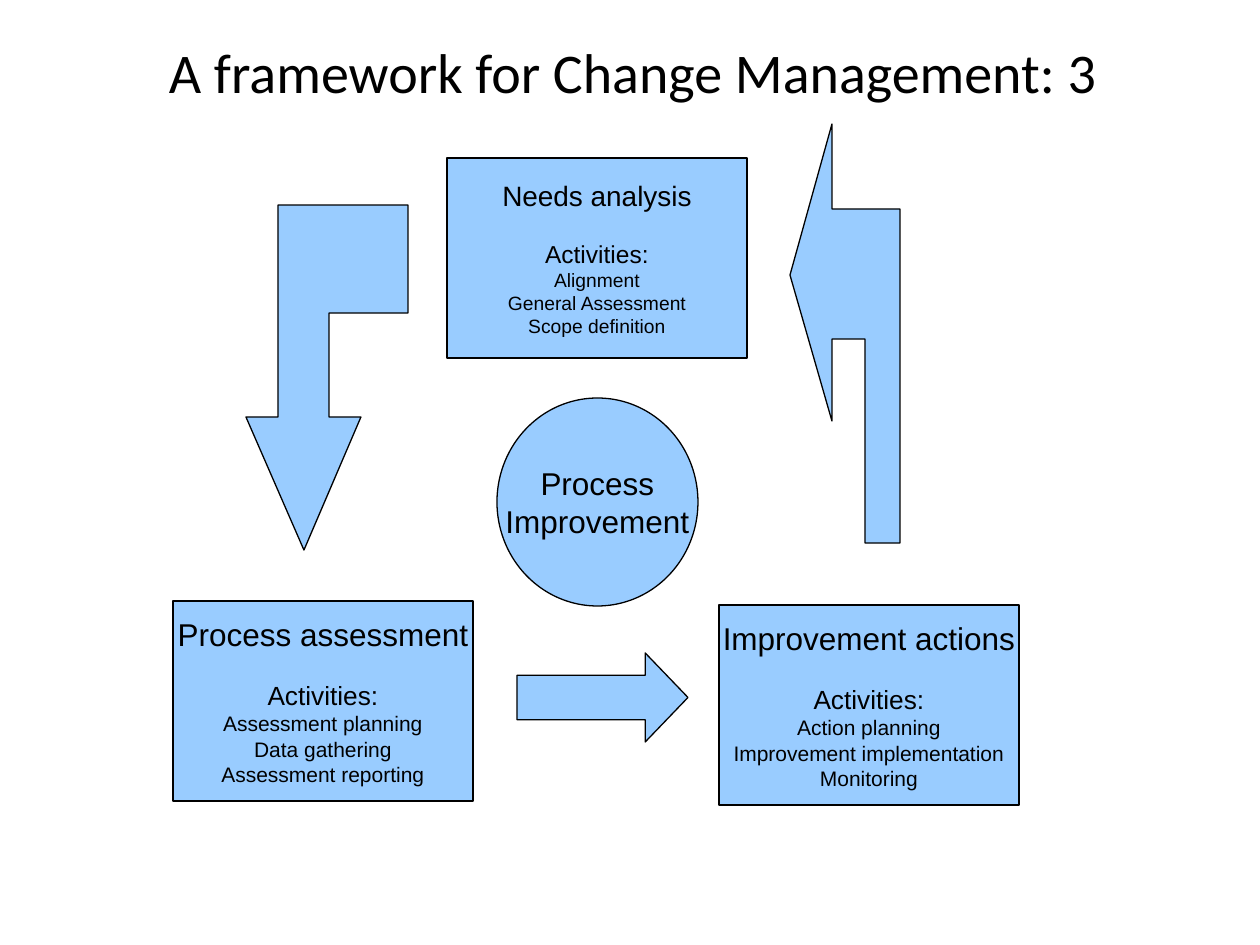
import pptx
import pptx.dml.color
import pptx.enum.shapes
import pptx.enum.text
import pptx.util

EMU_PER_PX = 914400 / 126
SHAPE = pptx.enum.shapes.MSO_SHAPE
MIDDLE = pptx.enum.text.MSO_ANCHOR.MIDDLE
CENTER = pptx.enum.text.PP_ALIGN.CENTER
BLACK = pptx.dml.color.RGBColor(0x00, 0x00, 0x00)
SKY_BLUE = pptx.dml.color.RGBColor(0x99, 0xCC, 0xFF)


def px(length):
    return pptx.util.Emu(round(length * EMU_PER_PX))


class FrameworkSlide:
    """Holds the style and the slide that is being filled."""

    title_font = "Calibri"
    body_font = "Arial"

    def __init__(self, slide):
        self.slide = slide

    def set_lines(self, shape, lines, font_name, wrap):
        """Put (text, size, space before) lines, centred, in the shape."""
        frame = shape.text_frame
        frame.word_wrap = wrap
        frame.vertical_anchor = MIDDLE
        for index, (text, size, space) in enumerate(lines):
            para = frame.add_paragraph() if index else frame.paragraphs[0]
            para.text = text
            para.alignment = CENTER
            para.space_before = pptx.util.Pt(space)
            para.font.name = font_name
            para.font.size = pptx.util.Pt(size)
            para.font.color.rgb = BLACK

    def paint(self, shape):
        shape.shadow.inherit = False
        shape.fill.solid()
        shape.fill.fore_color.rgb = SKY_BLUE
        shape.line.color.rgb = BLACK
        shape.line.width = pptx.util.Pt(0.75)
        return shape

    def title(self, text, left, top, width, height):
        title = self.slide.shapes.title
        title.left, title.top = px(left), px(top)
        title.width, title.height = px(width), px(height)
        self.set_lines(title, [(text, 32, 0)], self.title_font, True)

    def preset(self, kind, left, top, width, height, lines=()):
        shape = self.paint(self.slide.shapes.add_shape(
            kind, px(left), px(top), px(width), px(height)))
        if lines:
            self.set_lines(shape, lines, self.body_font, False)
        return shape

    def step(self, left, top, heading, activities, sizes):
        """A process box with a heading and its list of activities."""
        heading_size, label_size, item_size = sizes
        lines = [(heading, heading_size, 0), ("Activities:", label_size, 15)]
        lines += [(activity, item_size, 0) for activity in activities]
        self.preset(SHAPE.FLOWCHART_PROCESS, left, top, 300, 200, lines)

    def bent_arrow(self, points):
        builder = self.slide.shapes.build_freeform(*points[0], scale=EMU_PER_PX)
        builder.add_line_segments(points[1:], close=True)
        self.paint(builder.convert_to_shape())


def main():
    deck = pptx.Presentation()
    deck.slide_width = pptx.util.Inches(10)
    deck.slide_height = pptx.util.Inches(7.5)
    page = FrameworkSlide(deck.slides.add_slide(deck.slide_layouts[5]))

    page.title("A framework for Change Management: 3", 25, 18, 1216, 107)

    # The three steps of the cycle
    page.step(447, 158, "Needs analysis",
              ["Alignment", "General Assessment", "Scope definition"],
              (16, 14, 11))
    page.step(173, 601, "Process assessment",
              ["Assessment planning", "Data gathering", "Assessment reporting"],
              (18, 15, 12))
    page.step(719, 605, "Improvement actions",
              ["Action planning", "Improvement implementation", "Monitoring"],
              (18, 15, 12))

    # The centre of the cycle
    page.preset(SHAPE.OVAL, 497, 398, 201, 208,
                [("Process", 18, 0), ("Improvement", 18, 0)])

    # Arrows from step to step
    page.bent_arrow([(361, 417), (329, 417), (329, 313), (408, 313), (408, 205),
                     (278, 205), (278, 417), (246, 417), (304, 550)])
    page.bent_arrow([(832, 421), (832, 339), (865, 339), (865, 543), (900, 543),
                     (900, 209), (832, 209), (832, 124), (790, 275)])
    arrow = page.preset(SHAPE.RIGHT_ARROW, 517, 653, 171, 89)
    arrow.adjustments[0] = 0.5
    arrow.adjustments[1] = 0.48

    deck.save("out.pptx")


if __name__ == "__main__":
    main()
